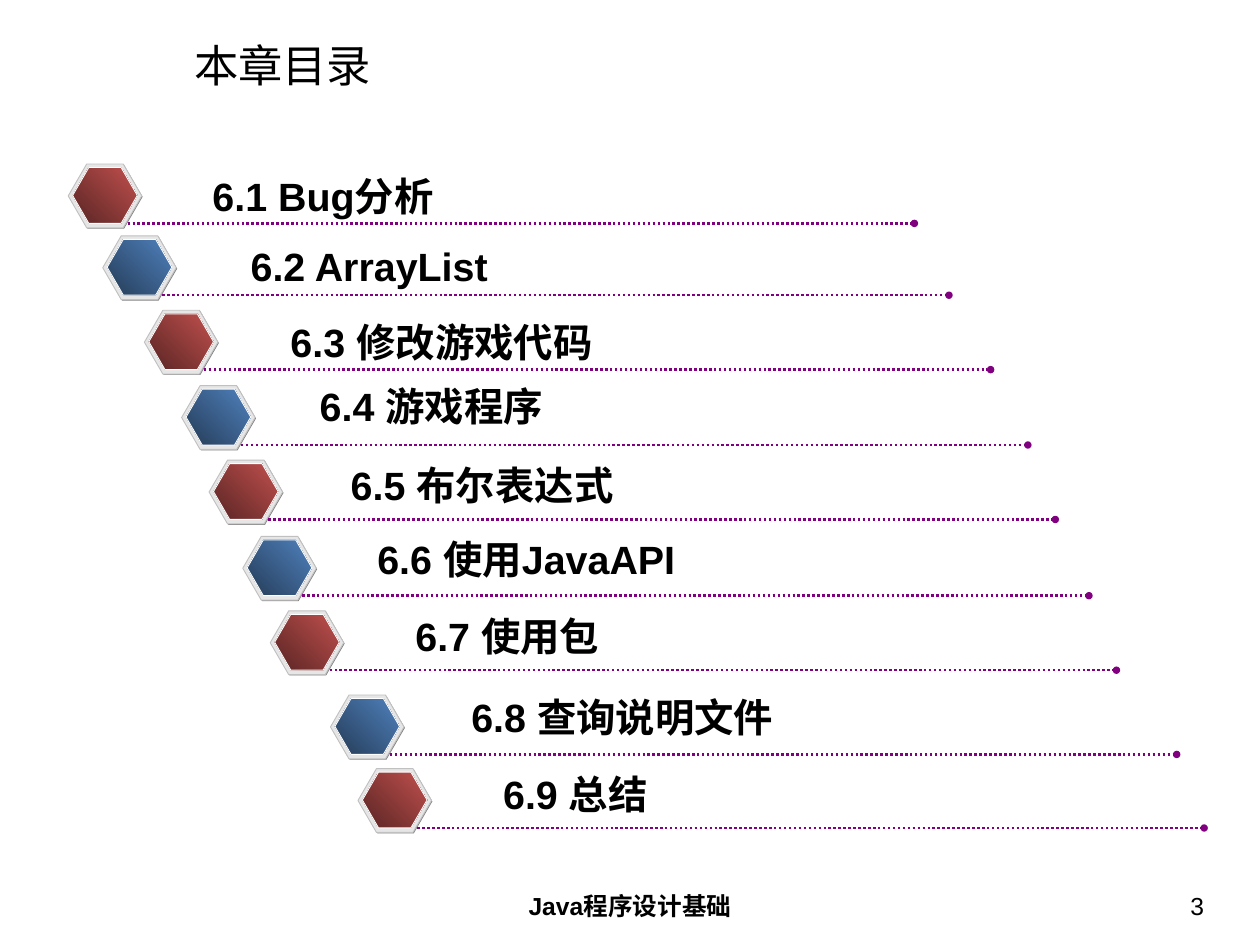
from pptx import Presentation
from pptx.dml.color import RGBColor
from pptx.enum.dml import MSO_LINE
from pptx.enum.shapes import MSO_CONNECTOR, MSO_SHAPE
from pptx.enum.text import MSO_ANCHOR, MSO_AUTO_SIZE, PP_ALIGN
from pptx.oxml.ns import qn
from pptx.util import Inches, Pt
from lxml import etree

HEXAGON = MSO_SHAPE.HEXAGON
STRAIGHT = MSO_CONNECTOR.STRAIGHT
DOTTED = MSO_LINE.ROUND_DOT
TOP, MIDDLE = MSO_ANCHOR.TOP, MSO_ANCHOR.MIDDLE
LEFT, CENTER, RIGHT = PP_ALIGN.LEFT, PP_ALIGN.CENTER, PP_ALIGN.RIGHT
FIT_SHAPE = MSO_AUTO_SIZE.SHAPE_TO_FIT_TEXT

COLUMNS, ROWS = 14.22, 10.66
CELL = Inches(1)
FONT = "Arial"
COLORS = {
    "text": "000000", "shadow": "808080", "rim": "E6E6E6", "rim_line": "C0C0C0",
    "face_line": "FFFFFF", "rule": "800080",
    "red": "C0504D", "dark_red": "592524", "blue": "4F81BD", "dark_blue": "253C57",
}
FACES = [("dark_red", "red"), ("dark_blue", "blue")]

CHAPTERS = [
    ("6.1 Bug分析", 0.77, 1.85, 2.30, 1.89, 2.86),
    ("6.2 ArrayList", 1.16, 2.66, 2.73, 2.68, 2.95),
    ("6.3 修改游戏代码", 1.63, 3.50, 3.18, 3.54, 3.78),
    ("6.4 游戏程序", 2.05, 4.35, 3.51, 4.26, 2.89),
    ("6.5 布尔表达式", 2.36, 5.19, 3.86, 5.15, 3.33),
    ("6.6 使用JavaAPI", 2.74, 6.05, 4.16, 5.99, 3.84),
    ("6.7 使用包", 3.05, 6.89, 4.59, 6.86, 2.44),
    ("6.8 查询说明文件", 3.73, 7.84, 5.22, 7.77, 3.78),
    ("6.9 总结", 4.04, 8.67, 5.58, 8.64, 2.00),
]


def cells(*counts):
    return [round(count * CELL) for count in counts]


def color(name):
    return RGBColor.from_string(COLORS[name])


def add_text(shapes, text, place, size, bold=False, align=LEFT, anchor=TOP,
             margins=(0.14, 0.07), wrap=True):
    box = shapes.add_textbox(*cells(*place))
    frame = box.text_frame
    frame.text = text
    frame.word_wrap = wrap
    frame.vertical_anchor = anchor
    frame.margin_left = frame.margin_right = Inches(margins[0])
    frame.margin_top = frame.margin_bottom = Inches(margins[1])
    if not wrap:
        frame.auto_size = FIT_SHAPE
    para = frame.paragraphs[0]
    para.alignment = align
    font = para.runs[0].font
    font.name, font.size, font.bold = FONT, Pt(size), bold
    font.color.rgb = color("text")


def add_hexagon(shapes, place, fills, outline=None):
    hexagon = shapes.add_shape(HEXAGON, *cells(*place))
    hexagon.shadow.inherit = False
    hexagon.adjustments[0] = 0.29
    if len(fills) == 1:
        hexagon.fill.solid()
        hexagon.fill.fore_color.rgb = color(fills[0])
    else:
        hexagon.fill.gradient()
        hexagon.fill.gradient_angle = 45
        for stop, name in zip(hexagon.fill.gradient_stops, fills):
            stop.color.rgb = color(name)
    if outline:
        hexagon.line.color.rgb = color(outline)
        hexagon.line.width = Pt(0.75)
    else:
        hexagon.line.fill.background()


def add_badge(shapes, column, row, face):
    add_hexagon(shapes, (column + 0.01, row + 0.01, 0.83, 0.72), ["shadow"])
    add_hexagon(shapes, (column, row, 0.83, 0.72), ["rim"], "rim_line")
    add_hexagon(shapes, (column + 0.05, row + 0.04, 0.73, 0.63), face, "face_line")


def add_rule(shapes, column, row, length):
    rule = shapes.add_connector(STRAIGHT, *cells(column, row, column + length, row))
    rule.line.color.rgb = color("rule")
    rule.line.width = Pt(2)
    rule.line.dash_style = DOTTED
    etree.SubElement(rule.line._get_or_add_ln(), qn("a:tailEnd"), type="oval")
    etree.SubElement(rule._element.spPr, qn("a:effectLst"))


def add_chapter(page, face, label, column, row, label_column, label_row, width):
    shapes = page.shapes.add_group_shape().shapes
    add_badge(shapes, column, row, face)
    add_rule(shapes, column + 0.67, row + 0.67, 8.88)
    add_text(shapes, label, (label_column, label_row, width, 0.64), 32, bold=True,
             margins=(0.1, 0.05), wrap=False)


def main():
    deck = Presentation()
    deck.slide_width, deck.slide_height = cells(COLUMNS, ROWS)
    page = deck.slides.add_slide(deck.slide_layouts[6])
    add_text(page.shapes, "本章目录", (2.05, 0.45, 11.83, 0.57), 36, anchor=MIDDLE)
    add_text(page.shapes, "Java程序设计基础", (4.86, 9.98, 4.5, 0.55), 20,
             bold=True, align=CENTER)
    add_text(page.shapes, "3", (10.41, 9.98, 3.32, 0.55), 20, align=RIGHT)
    for index, chapter in enumerate(CHAPTERS):
        add_chapter(page, FACES[index % 2], *chapter)
    deck.save("out.pptx")


if __name__ == "__main__":
    main()
